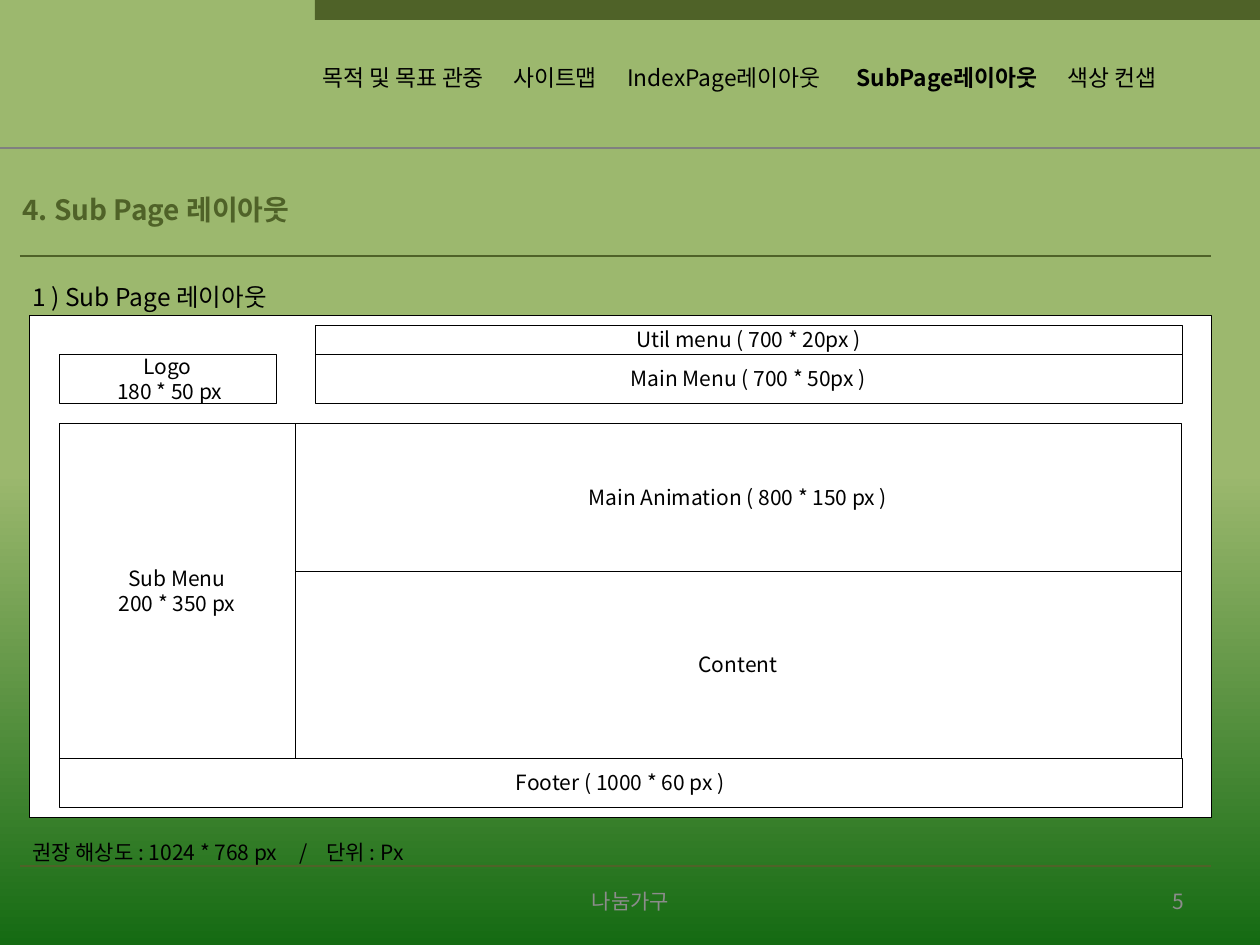
from lxml import etree
from pptx import Presentation
from pptx.dml.color import RGBColor
from pptx.enum import shapes, text
from pptx.oxml import ns
from pptx.util import Pt

PIXEL = 914400 // 126
FONT = "Noto Sans CJK KR"
BLACK = RGBColor(0, 0, 0)
WHITE = RGBColor(255, 255, 255)
GRAY = RGBColor(0x80, 0x80, 0x80)
FOOTER_GRAY = RGBColor(0x8C, 0x8C, 0x8C)
OLIVE = RGBColor(0x4F, 0x62, 0x28)
LIGHT_GREEN = RGBColor(0x9C, 0xB8, 0x6E)
DARK_GREEN = RGBColor(0x15, 0x6B, 0x13)

# Wireframe areas: left, top, width, height, lines of text
AREAS = [
    (29, 315, 1182, 502, []),
    (59, 354, 217, 49, ["Logo", " 180 * 50 px"]),
    (315, 354, 867, 49, ["Main Menu ( 700 * 50px )"]),
    (315, 325, 867, 29, ["Util menu ( 700 * 20px )"]),
    (295, 423, 886, 148, ["Main Animation ( 800 * 150 px )"]),
    (295, 571, 886, 187, ["Content"]),
    (59, 758, 1123, 49, ["Footer ( 1000 * 60 px )"]),
    (59, 423, 236, 335, ["Sub Menu", "200 * 350 px"]),
]


def scale(*pixels):
    return [value * PIXEL for value in pixels]


def set_values(target, values):
    for name, value in values.items():
        setattr(target, name, value)


def add_span(para, words, size, color, bold=False):
    span = para.add_run()
    span.text = words
    set_values(span.font, {"name": FONT, "size": Pt(size), "bold": bold})
    span.font.color.rgb = color
    etree.SubElement(span.font._element, ns.qn("a:ea"), typeface=FONT)


def add_tabs(para, stops):
    tabs = etree.SubElement(para._p.get_or_add_pPr(), ns.qn("a:tabLst"))
    for stop in stops:
        etree.SubElement(tabs, ns.qn("a:tab"), pos=str(stop * PIXEL), algn="l")


def add_text(page, place, spans, size, color, stops=(), middle=False, **layout):
    """Spans are (words, bold) pairs in one paragraph."""
    box = page.shapes.add_textbox(*scale(*place))
    frame = box.text_frame
    frame.word_wrap = True
    if middle:
        frame.vertical_anchor = text.MSO_ANCHOR.MIDDLE
    para = frame.paragraphs[0]
    set_values(para, layout)
    if stops:
        add_tabs(para, stops)
    for words, bold in spans:
        add_span(para, words, size, color, bold)
    return box


def add_rectangle(page, place, fill, outline=None, lines=()):
    box = page.shapes.add_shape(shapes.MSO_SHAPE.RECTANGLE, *scale(*place))
    box.shadow.inherit = False
    box.fill.solid()
    box.fill.fore_color.rgb = fill
    if outline is None:
        box.line.fill.background()
    else:
        box.line.color.rgb = outline
        box.line.width = Pt(0.25)
    frame = box.text_frame
    frame.vertical_anchor = text.MSO_ANCHOR.MIDDLE
    for index, words in enumerate(lines):
        para = frame.add_paragraph() if index else frame.paragraphs[0]
        para.alignment = text.PP_ALIGN.CENTER
        add_span(para, words, 12, BLACK)


def add_rule(page, left, right, top, color):
    rule = page.shapes.add_connector(
        shapes.MSO_CONNECTOR.STRAIGHT, *scale(left, top, right, top))
    rule.line.color.rgb = color
    rule.line.width = Pt(0.75)
    etree.SubElement(rule._element.spPr, ns.qn("a:effectLst"))


def paint_background(page):
    fill = page.background.fill
    fill.gradient()
    fill.gradient_angle = 270
    stops = [(0.5, LIGHT_GREEN), (1, DARK_GREEN)]
    for stop, (position, color) in zip(fill.gradient_stops, stops):
        stop.position = position
        stop.color.rgb = color


def main():
    deck = Presentation()
    deck.slide_width, deck.slide_height = scale(1260, 945)
    page = deck.slides.add_slide(deck.slide_layouts[6])
    paint_background(page)

    # Footer
    add_text(page, (431, 876, 399, 50), [("나눔가구", False)], 12, FOOTER_GRAY,
             middle=True, alignment=text.PP_ALIGN.CENTER)
    add_text(page, (903, 876, 294, 50), [("5", False)], 12, FOOTER_GRAY,
             middle=True, alignment=text.PP_ALIGN.RIGHT)

    # Header bar and navigation
    add_rectangle(page, (315, 0, 945, 20), OLIVE)
    add_rule(page, 0, 1260, 148, GRAY)
    add_text(page, (310, 58, 913, 40),
             [("목적 및 목표 관중\t사이트맵\tIndexPage레이아웃\t", False),
              ("SubPage레이아웃\t", True), ("색상 컨샙", False)],
             13, BLACK, stops=(191, 305, 534, 745))

    # Headings and rules
    title = add_text(page, (10, 186, 309, 40),
                     [("4. Sub Page 레이아웃", True)], 16, OLIVE)
    title.text_frame.margin_bottom = 0
    for top in (256, 866):
        add_rule(page, 20, 1211, top, OLIVE)
    add_text(page, (20, 246, 277, 72), [("1 ) Sub Page 레이아웃", False)],
             14, BLACK, line_spacing=2.0)

    # Page wireframe
    for *place, lines in AREAS:
        add_rectangle(page, place, WHITE, BLACK, lines)

    # Resolution note
    add_text(page, (20, 808, 432, 55),
             [("권장 해상도 : 1024 * 768 px\t/\t단위 : Px", False)],
             12, BLACK, stops=(267, 294), line_spacing=2.0)

    deck.save("out.pptx")


main()
